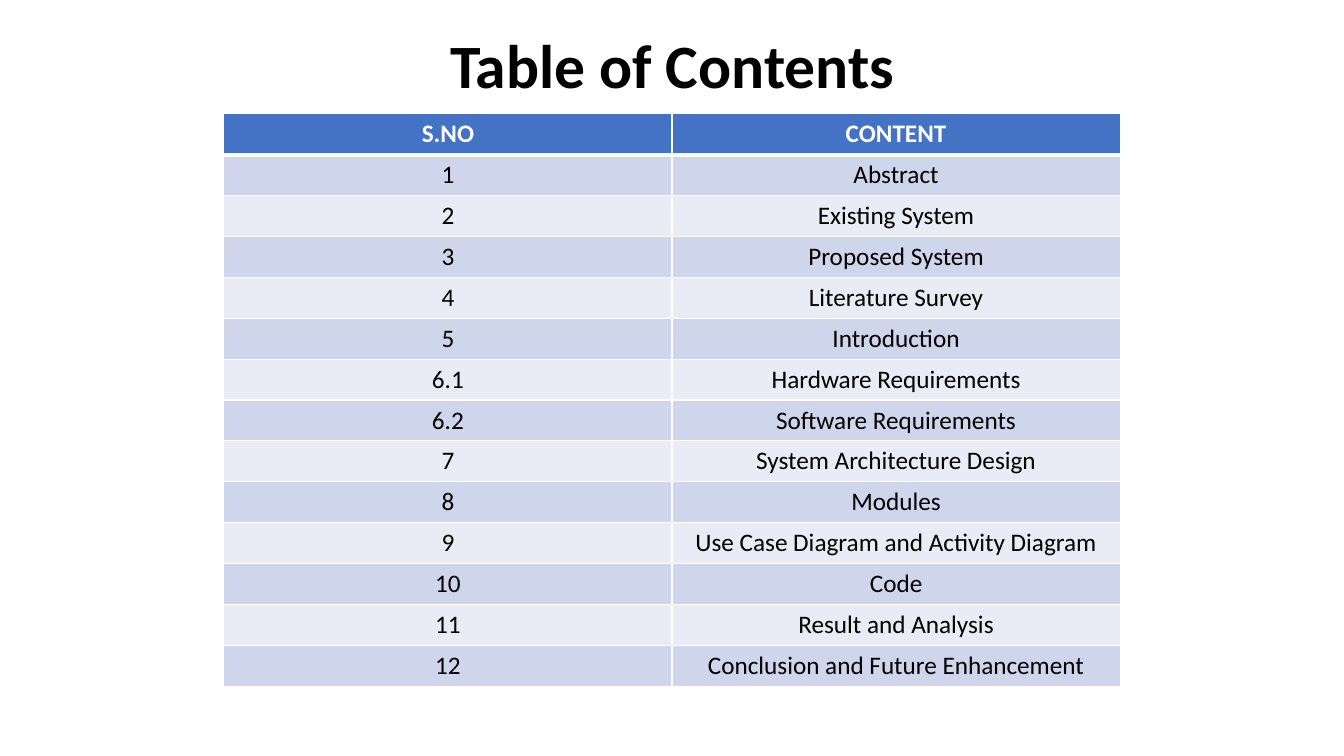
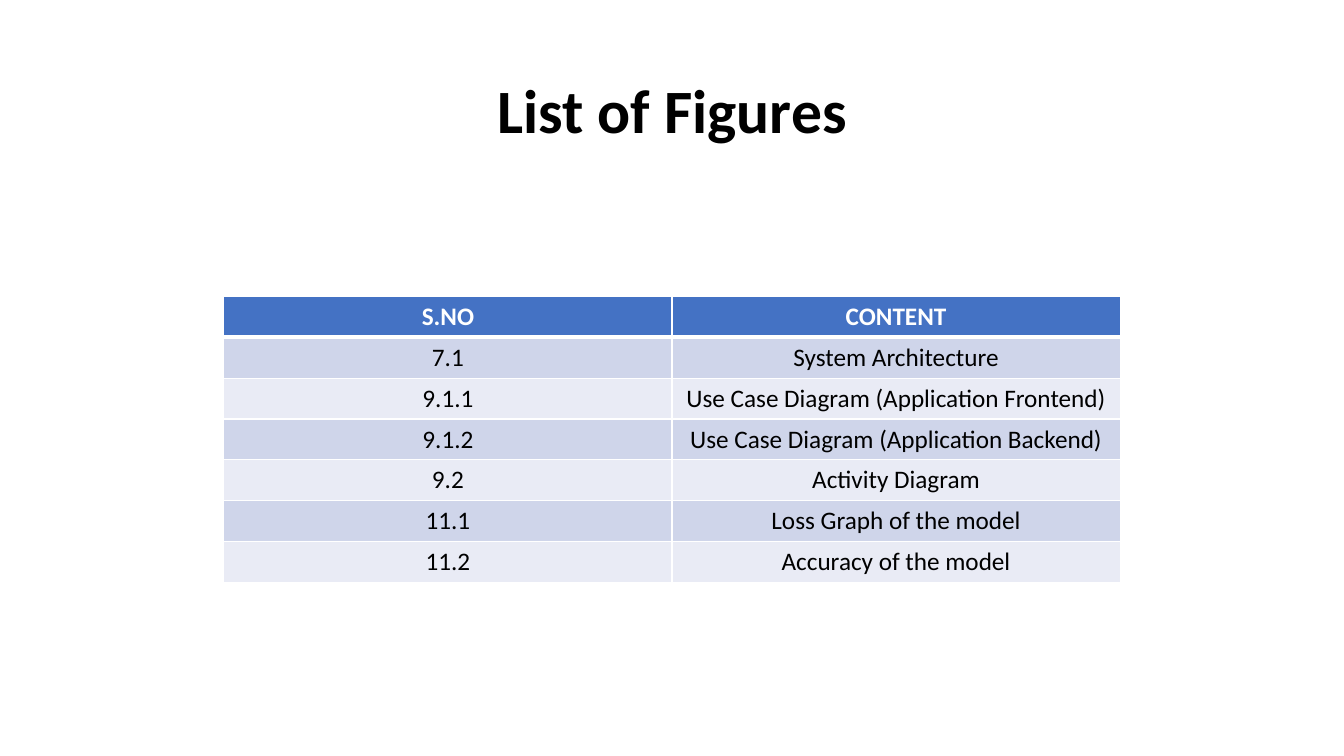
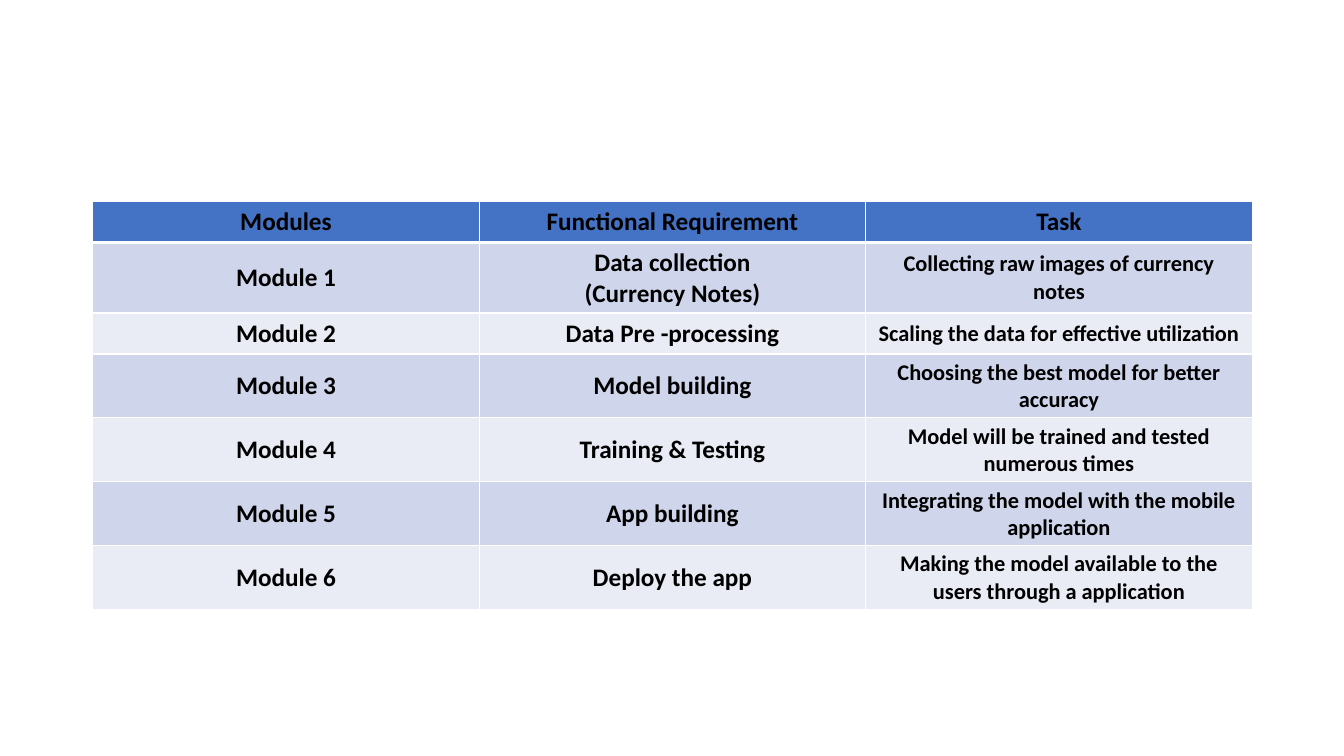
"""Build three slides with a contents table, a figures table and a modules table."""
from lxml.etree import SubElement
from pptx import Presentation
from pptx.dml.color import RGBColor as RGB
from pptx.enum.text import MSO_ANCHOR as ANCHOR, PP_ALIGN as ALIGN
from pptx.oxml.ns import qn
from pptx.util import Inches, Pt

COLORS = {
    "text": "000000",
    "white": "FFFFFF",
    "header": "4472C4",
    "odd_row": "CFD5EA",
    "even_row": "E9EBF5",
}
FONT = "Calibri"
ROW_HEIGHT = Inches(2.84) / 7
MARGIN, CONTENT_WIDTH = Inches(0.92), Inches(11.5)


def style_text(frame, size, color, bold):
    frame.vertical_anchor = ANCHOR.MIDDLE
    for paragraph in frame.paragraphs:
        paragraph.alignment = ALIGN.CENTER
        paragraph.font.name = FONT
        paragraph.font.size = Pt(size)
        paragraph.font.bold = bold
        paragraph.font.color.rgb = RGB.from_string(COLORS[color])


def draw_borders(cell, top, bottom):
    properties = cell._tc.get_or_add_tcPr()
    for side, width in (("L", 1), ("R", 1), ("T", top), ("B", bottom)):
        line = SubElement(properties, qn(f"a:ln{side}"), w=str(Pt(width)))
        fill = SubElement(line, qn("a:solidFill"))
        SubElement(fill, qn("a:srgbClr"), val=COLORS["white"])


contents = [
    ("S.NO", "CONTENT"),
    ("1", "Abstract"),
    ("2", "Existing System"),
    ("3", "Proposed System"),
    ("4", "Literature Survey"),
    ("5", "Introduction"),
    ("6.1", "Hardware Requirements"),
    ("6.2", "Software Requirements"),
    ("7", "System Architecture Design"),
    ("8", "Modules"),
    ("9", "Use Case Diagram and Activity Diagram"),
    ("10", "Code"),
    ("11", "Result and Analysis"),
    ("12", "Conclusion and Future Enhancement"),
]
figures = [
    ("S.NO", "CONTENT"),
    ("7.1", "System Architecture"),
    ("9.1.1", "Use Case Diagram (Application Frontend)"),
    ("9.1.2", "Use Case Diagram (Application Backend)"),
    ("9.2", "Activity Diagram"),
    ("11.1", "Loss Graph of the model"),
    ("11.2", "Accuracy of the model"),
]
modules = [
    ("Modules", "Functional Requirement", "Task"),
    ("Module 1", "Data collection\n(Currency Notes)", "Collecting raw images of currency notes"),
    ("Module 2", "Data Pre -processing", "Scaling the data for effective utilization"),
    ("Module 3", "Model building", "Choosing the best model for better accuracy"),
    ("Module 4", "Training & Testing", "Model will be trained and tested numerous times"),
    ("Module 5", "App building", "Integrating the model with the mobile application"),
    ("Module 6", "Deploy the app", "Making the model available to the users through a application"),
]
pages = [
    ("Table of Contents", 0.24, 0.88, contents, 2.22, 1.13, 8.89, "white", False),
    ("List of Figures", 0.4, 1.45, figures, 2.22, 2.94, 8.89, "white", False),
    (None, 0, 0, modules, 0.92, 2, 11.5, "text", True),
]

deck = Presentation()
deck.slide_width, deck.slide_height = Inches(13.33), Inches(7.5)

for heading, heading_top, heading_height, rows, left, top, width, header_color, bold_body in pages:
    slide = deck.slides.add_slide(deck.slide_layouts[6])
    if heading:
        title = slide.shapes.add_textbox(
            MARGIN, Inches(heading_top), CONTENT_WIDTH, Inches(heading_height)
        ).text_frame
        title.word_wrap = True
        title.text = heading
        title.paragraphs[0].line_spacing = 0.9
        style_text(title, 44, "text", True)

    table = slide.shapes.add_table(
        len(rows), len(rows[0]), Inches(left), Inches(top), Inches(width), int(ROW_HEIGHT * len(rows))
    ).table
    for row, entries in enumerate(rows):
        is_header = row == 0
        band = "header" if is_header else "odd_row" if row % 2 else "even_row"
        for column, entry in enumerate(entries):
            cell = table.cell(row, column)
            cell.text = entry
            size = 16 if column == 2 and not is_header else 18
            color = header_color if is_header else "text"
            style_text(cell.text_frame, size, color, is_header or bold_body)
            cell.vertical_anchor = ANCHOR.MIDDLE
            draw_borders(cell, 3 if row == 1 else 1, 3 if is_header else 1)
            cell.fill.solid()
            cell.fill.fore_color.rgb = RGB.from_string(COLORS[band])

deck.save("out.pptx")
